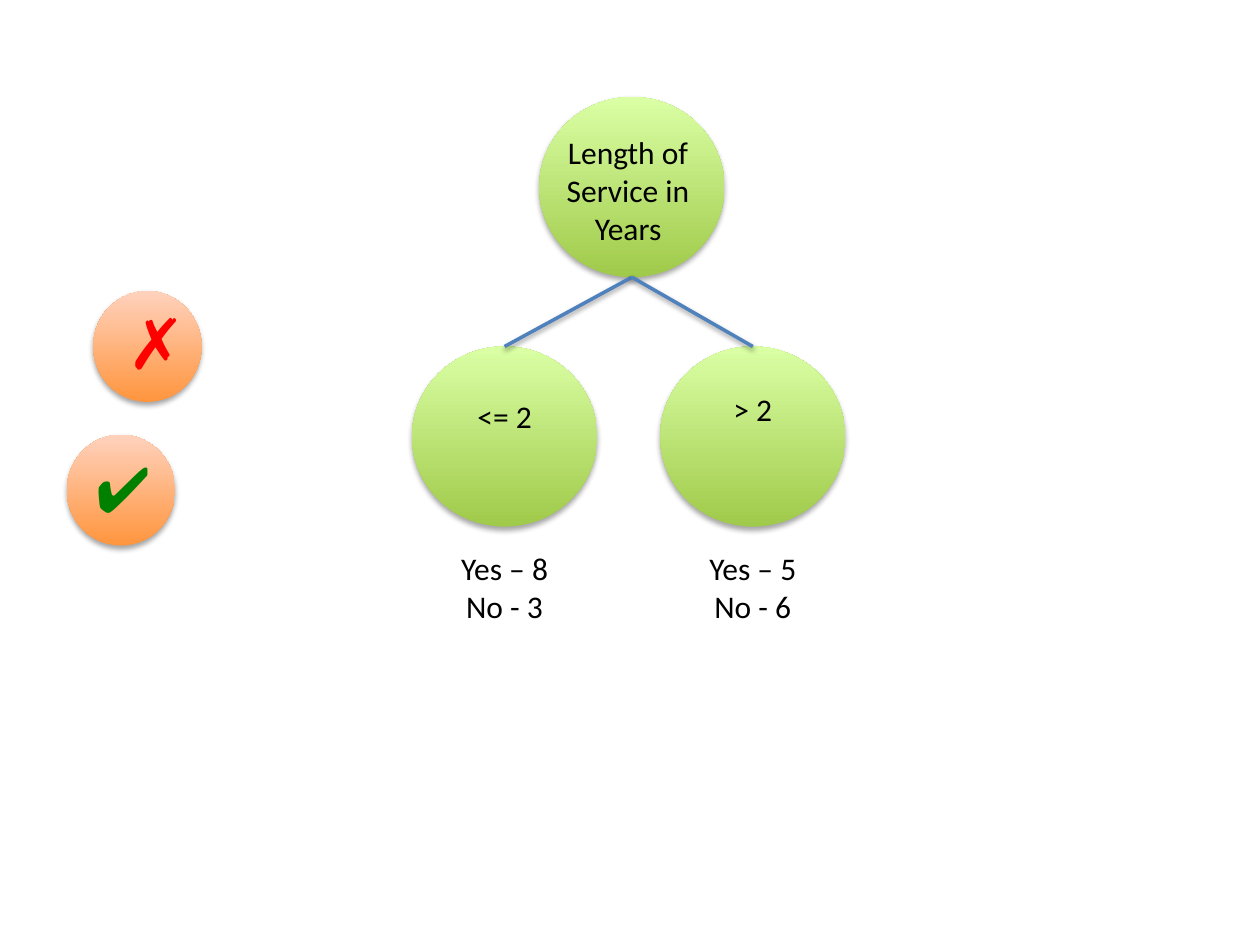
from typing import NamedTuple

from lxml.etree import fromstring
from pptx import Presentation
from pptx.dml.color import RGBColor
from pptx.enum.shapes import MSO_CONNECTOR, MSO_SHAPE
from pptx.enum.text import MSO_AUTO_SIZE, PP_ALIGN
from pptx.util import Inches, Pt

NS = "http://schemas.openxmlformats.org/drawingml/2006/main"
GREEN = ("A0CA4A", "DAFFA5")
ORANGE = ("FF953E", "FFD2BD")
NODE_W, NODE_H = 1.47, 1.43
BADGE_W, BADGE_H = 0.86, 0.88
ROOT_X, ROOT_Y = 4.28, 0.77
LEAF_Y = 2.75


class Leaf(NamedTuple):
    x: float
    rule: str
    rule_y: float
    votes: str


class Badge(NamedTuple):
    x: float
    y: float
    mark: str
    mark_x: float
    mark_y: float
    mark_h: float
    size: int
    color: str


LEAVES = [
    Leaf(3.27, "<= 2", 3.1, "Yes – 8\nNo - 3"),
    Leaf(5.24, "> 2", 3.05, "Yes – 5\nNo - 6"),
]
BADGES = [
    Badge(0.74, 2.31, "✗", 0.91, 2.33, 0.77, 40, "FF0000"),
    Badge(0.53, 3.45, "✔", 0.66, 3.52, 0.71, 36, "008000"),
]


def paint(color, code: str) -> None:
    color.rgb = RGBColor.from_string(code)


def shade(shape, dist: float, alpha: int) -> None:
    """Add a soft drop shadow; call after fill and line are set."""
    shape._element.spPr.append(fromstring(
        f'<a:effectLst xmlns:a="{NS}"><a:outerShdw blurRad="{Pt(3.1)}" '
        f'dist="{Pt(dist)}" dir="5400000" rotWithShape="0">'
        f'<a:srgbClr val="000000"><a:alpha val="{alpha * 1000}"/></a:srgbClr>'
        '</a:outerShdw></a:effectLst>'))


def add_ball(slide, x: float, y: float, w: float, h: float,
             hues: tuple[str, str]) -> None:
    ball = slide.shapes.add_shape(
        MSO_SHAPE.OVAL, Inches(x), Inches(y), Inches(w), Inches(h))
    ball.fill.gradient()
    ball.fill.gradient_angle = 90
    for stop, hue in zip(ball.fill.gradient_stops, hues):
        paint(stop.color, hue)
    ball.line.fill.background()
    shade(ball, 1.8, 35)


def add_label(slide, text: str, x: float, y: float, w: float, h: float,
              size: int = 18, name: str = "Calibri", color: str = "000000",
              align: PP_ALIGN = PP_ALIGN.CENTER) -> None:
    box = slide.shapes.add_textbox(Inches(x), Inches(y), Inches(w), Inches(h))
    frame = box.text_frame
    frame.word_wrap = True
    frame.auto_size = MSO_AUTO_SIZE.SHAPE_TO_FIT_TEXT
    frame.text = text
    style = {"size": Pt(size), "name": name}
    for para in frame.paragraphs:
        para.alignment = align
        for run in para.runs:
            for key, value in style.items():
                setattr(run.font, key, value)
            paint(run.font.color, color)


def add_branch(slide, leaf: Leaf) -> None:
    """Join the foot of the root to the top of a leaf."""
    half = NODE_W / 2
    line = slide.shapes.add_connector(
        MSO_CONNECTOR.STRAIGHT,
        Inches(ROOT_X + half), Inches(ROOT_Y + NODE_H),
        Inches(leaf.x + half), Inches(LEAF_Y))
    paint(line.line.color, "4F81BD")
    line.line.width = Pt(2)
    shade(line, 1.6, 38)


def main() -> None:
    deck = Presentation()
    deck.slide_width, deck.slide_height = Inches(10), Inches(7.5)
    slide = deck.slides.add_slide(deck.slide_layouts[6])

    add_ball(slide, ROOT_X, ROOT_Y, NODE_W, NODE_H, GREEN)
    add_label(slide, "Length of Service in Years", 4.25, 1.01, NODE_W, 1.01)
    for leaf in LEAVES:
        add_ball(slide, leaf.x, LEAF_Y, NODE_W, NODE_H, GREEN)
        add_branch(slide, leaf)
        add_label(slide, leaf.rule, leaf.x, leaf.rule_y, NODE_W, 0.4)
        add_label(slide, leaf.votes, leaf.x, 4.31, NODE_W, 0.71)
    for badge in BADGES:
        add_ball(slide, badge.x, badge.y, BADGE_W, BADGE_H, ORANGE)
        add_label(slide, badge.mark, badge.mark_x, badge.mark_y, 1.08,
                  badge.mark_h, badge.size, "Arial", badge.color,
                  PP_ALIGN.LEFT)

    deck.save("out.pptx")


if __name__ == "__main__":
    main()
